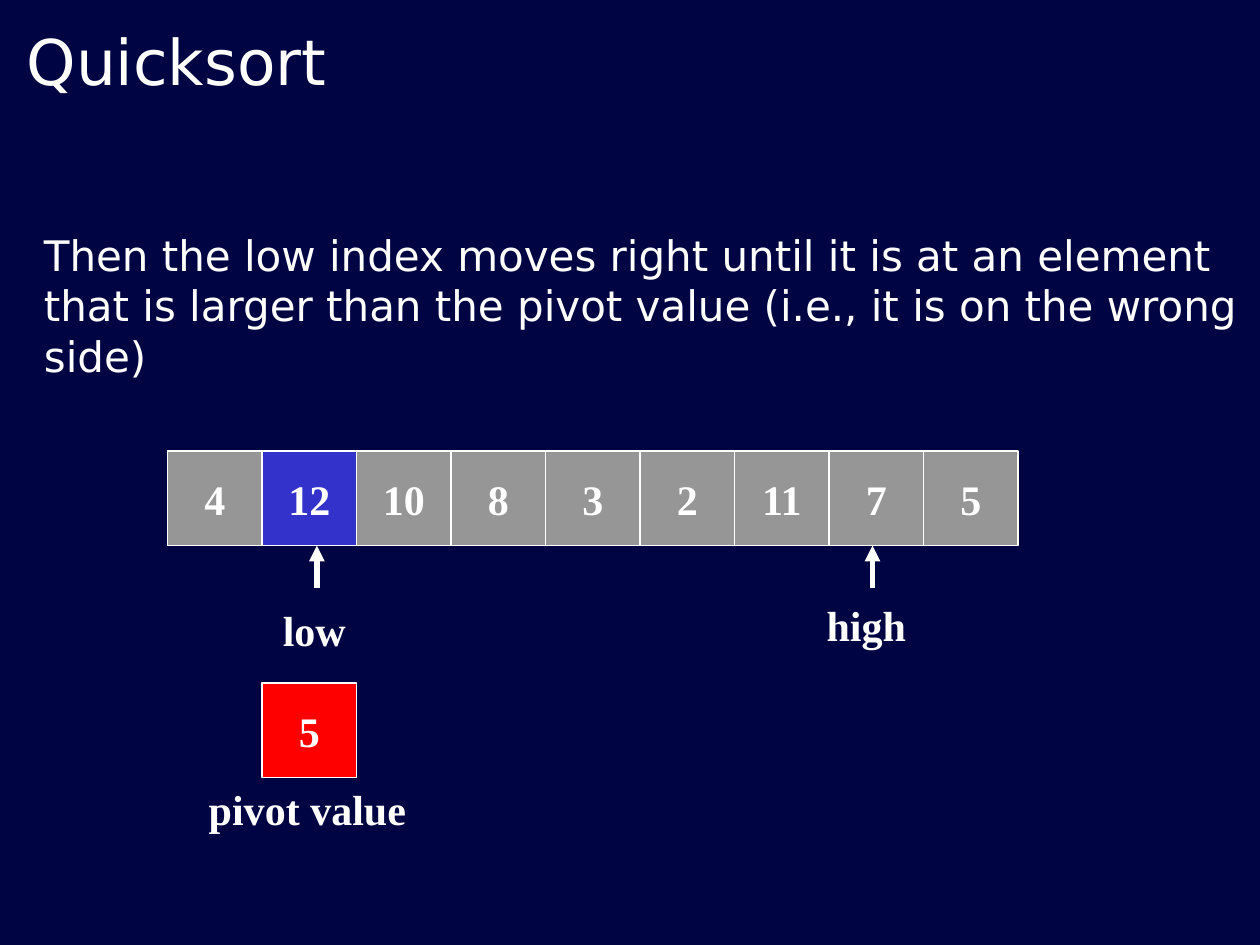
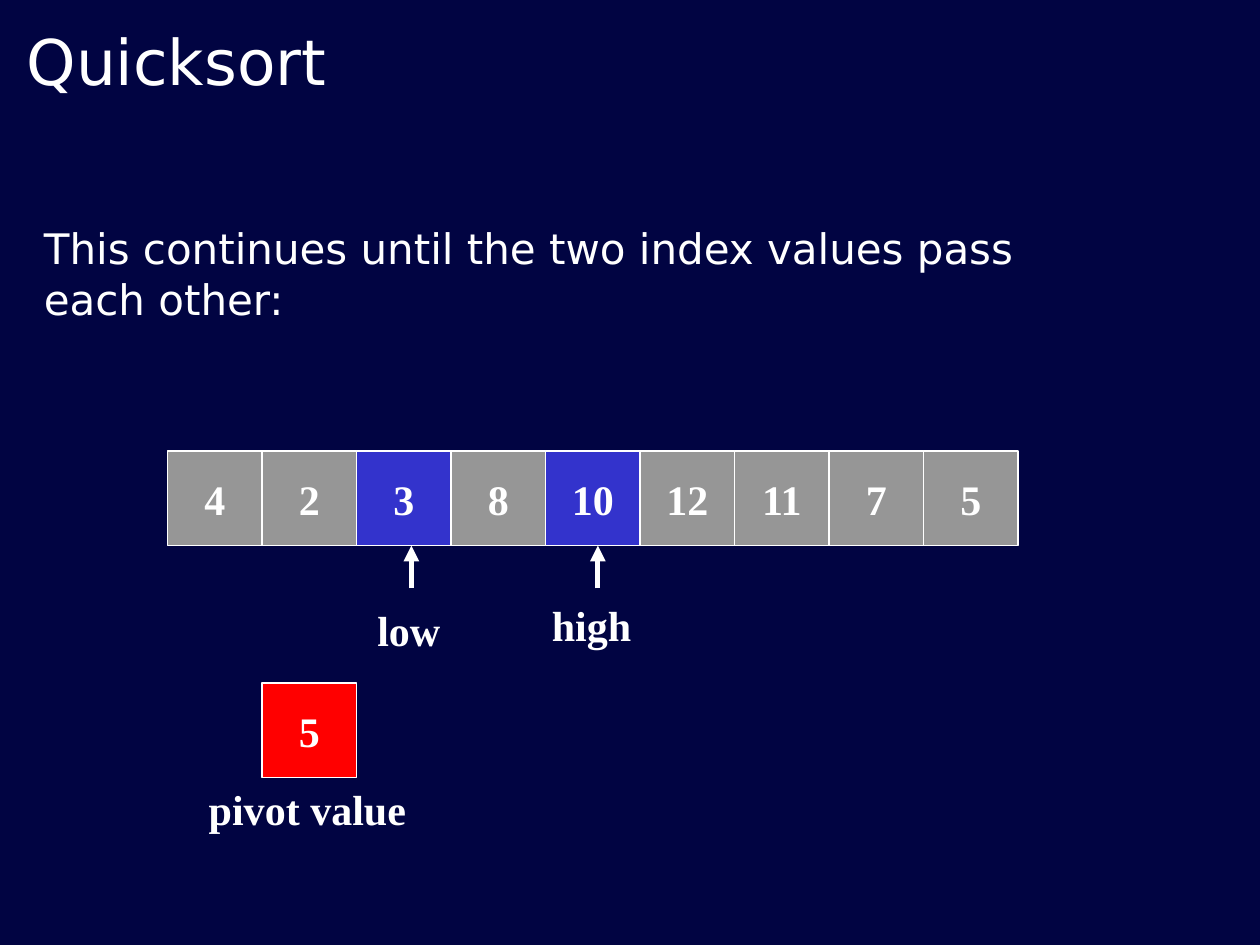
from dataclasses import dataclass

from lxml import etree
from pptx import Presentation
from pptx.dml.color import RGBColor as RGB
from pptx.enum.shapes import MSO_CONNECTOR as CONN, MSO_SHAPE as SHAPE
from pptx.enum.text import MSO_ANCHOR as ANCHOR, MSO_AUTO_SIZE as AUTO, PP_ALIGN as ALIGN
from pptx.oxml.ns import qn
from pptx.util import Inches, Pt


@dataclass(frozen=True)
class Theme:
    back: RGB = RGB(0x01, 0x04, 0x42)
    white: RGB = RGB(0xFF, 0xFF, 0xFF)
    cell: RGB = RGB(0x96, 0x96, 0x96)
    active: RGB = RGB(0x33, 0x33, 0xCC)
    pivot: RGB = RGB(0xFF, 0x00, 0x00)
    sans: str = "DejaVu Sans"
    serif: str = "Times New Roman"
    title_size: int = 36
    text_size: int = 24


T = Theme()

# Content: a marker is the index of its cell and the arrow's shift from the cell centre
SLIDES = [
    {
        "title": "Quicksort",
        "text": ["Then the low index moves right until it is at an element",
                 "that is larger than the pivot value (i.e., it is on the wrong side)"],
        "anchor": ANCHOR.MIDDLE,
        "values": [4, 12, 10, 8, 3, 2, 11, 7, 5],
        "active": [1],
        "markers": {"low": (1, 0.06), "high": (7, -0.03)},
        "pivot": 5,
    },
    {
        "title": "Quicksort",
        "text": ["This continues until the two index values pass", "each other:"],
        "anchor": ANCHOR.TOP,
        "values": [4, 2, 3, 8, 10, 12, 11, 7, 5],
        "active": [2, 4],
        "markers": {"low": (2, 0.06), "high": (4, 0.04)},
        "pivot": 5,
    },
]

# Layout in inches
CELL = 0.75
ROW_X, ROW_Y = 1.33, 3.58
ROW_END = ROW_Y + CELL
PIVOT_X, PIVOT_Y = ROW_X + CELL, 5.42
ARROW = 0.34
LABEL_H = 0.5
# Marker labels: shift from the arrow, top, width
LABELS = {"low": (-0.02, 4.75, 0.7), "high": (-0.05, 4.71, 0.9)}


def box(left, top, width, height):
    return [Inches(v) for v in (left, top, width, height)]


def write(tf, text, font, size, bold=False, align=ALIGN.LEFT, anchor=ANCHOR.MIDDLE, wrap=True):
    tf.text = text
    tf.word_wrap = wrap
    tf.auto_size = AUTO.NONE
    tf.vertical_anchor = anchor
    for p in tf.paragraphs:
        p.alignment = align
        for r in p.runs:
            r.font.name, r.font.size, r.font.bold = font, Pt(size), bold
            r.font.color.rgb = T.white


def write_label(tf, text):
    write(tf, text, T.serif, T.text_size, bold=True, align=ALIGN.CENTER, wrap=False)


def add_label(shapes, text, center, top, width):
    tb = shapes.add_textbox(*box(center - width / 2, top, width, LABEL_H))
    write_label(tb.text_frame, text)


def add_cell(s, value, left, top, color):
    sp = s.shapes.add_shape(SHAPE.RECTANGLE, *box(left, top, CELL, CELL))
    sp.shadow.inherit = False
    sp.fill.solid()
    sp.fill.fore_color.rgb = color
    sp.line.color.rgb = T.white
    sp.line.width = Pt(0.75)
    write_label(sp.text_frame, str(value))


def add_marker(s, name, index, shift):
    x = ROW_X + (index + 0.5) * CELL + shift
    group = s.shapes.add_group_shape()
    arrow = group.shapes.add_connector(
        CONN.STRAIGHT, *box(x, ROW_END + ARROW, x, ROW_END))
    arrow.line.color.rgb = T.white
    arrow.line.width = Pt(3)
    etree.SubElement(arrow.line._get_or_add_ln(), qn("a:tailEnd"), type="triangle")
    etree.SubElement(arrow._element.spPr, qn("a:effectLst"))
    dx, top, width = LABELS[name]
    add_label(group.shapes, name, x + dx, top, width)


def add_slide(prs, data):
    s = prs.slides.add_slide(prs.slide_layouts[5])

    # Title and explanation
    title = s.shapes.title
    title.left, title.top, title.width, title.height = box(0.11, 0.08, 9.06, 0.75)
    write(title.text_frame, data["title"], T.sans, T.title_size, anchor=ANCHOR.BOTTOM)
    tb = s.shapes.add_textbox(*box(0.25, 1.72, 9.75, 1.4))
    write(tb.text_frame, "\n".join(data["text"]), T.sans, T.text_size, anchor=data["anchor"])

    # Array with its index markers
    for i, value in enumerate(data["values"]):
        color = T.active if i in data["active"] else T.cell
        add_cell(s, value, ROW_X + i * CELL, ROW_Y, color)
    for name, (index, shift) in data["markers"].items():
        add_marker(s, name, index, shift)

    # Pivot
    add_cell(s, data["pivot"], PIVOT_X, PIVOT_Y, T.pivot)
    add_label(s.shapes, "pivot value", 2.44, PIVOT_Y + CELL, 1.76)


def main():
    prs = Presentation()
    prs.slide_width, prs.slide_height = Inches(10), Inches(7.5)
    fill = prs.slide_master.background.fill
    fill.solid()
    fill.fore_color.rgb = T.back
    for data in SLIDES:
        add_slide(prs, data)
    prs.save("out.pptx")


if __name__ == "__main__":
    main()
